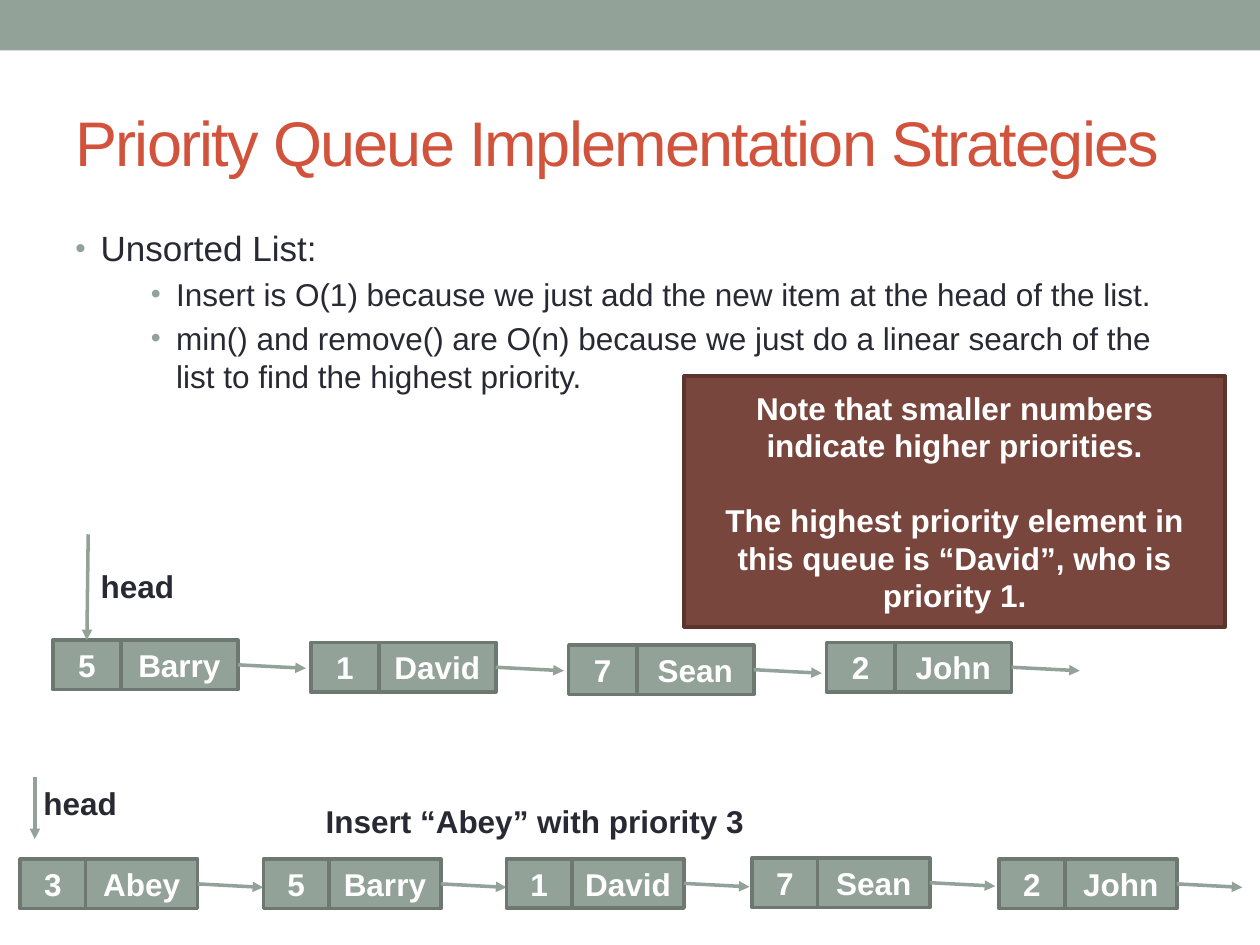
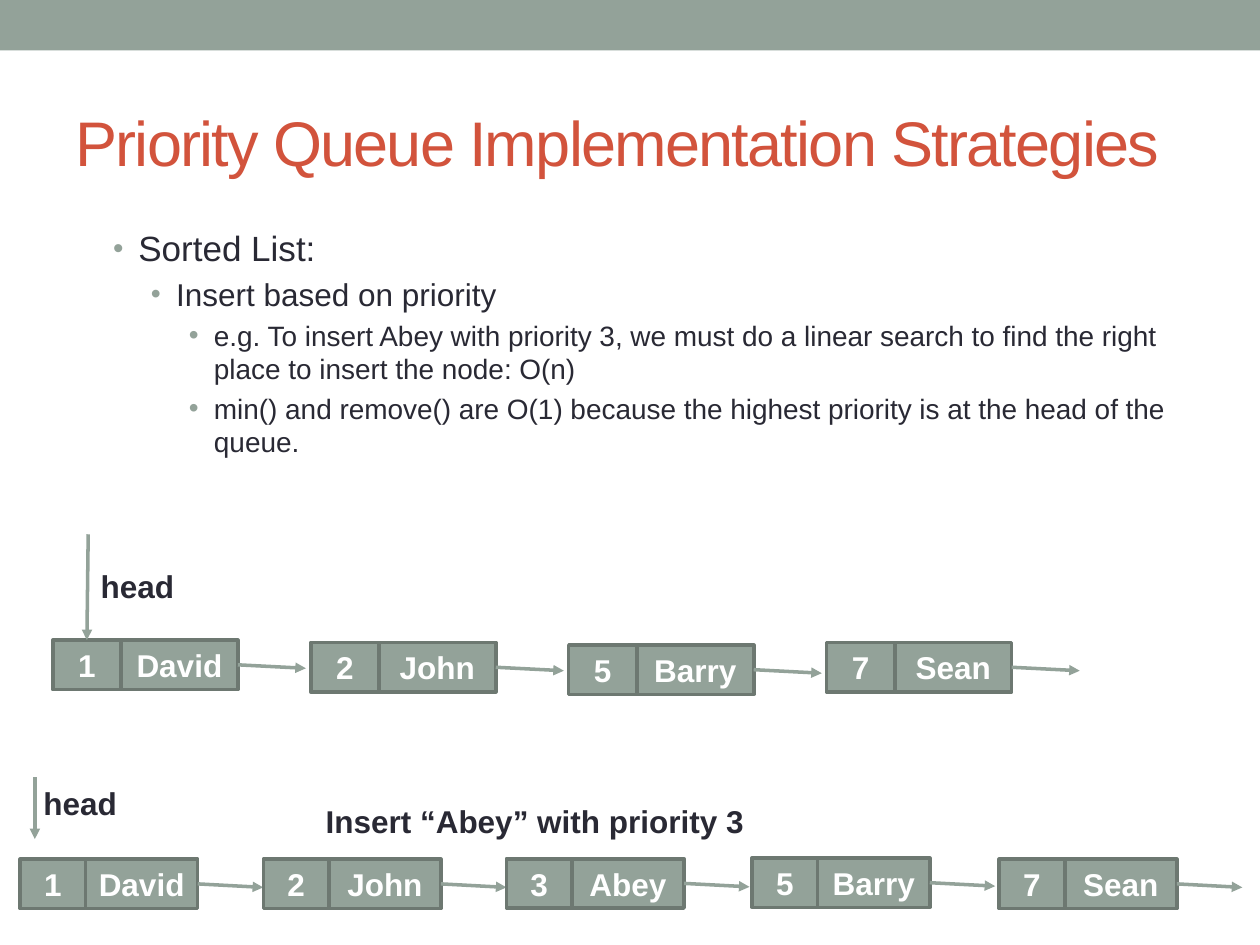
import pptx
import pptx.dml.color
import pptx.enum.shapes
import pptx.enum.text
import pptx.oxml.ns
import pptx.util
from lxml import etree

Pt = pptx.util.Pt
ALIGN = pptx.enum.text.PP_ALIGN
ANCHOR = pptx.enum.text.MSO_ANCHOR

SAGE, SAGE_EDGE = "93A299", "6D7871"
RUST, RUST_EDGE = "79463D", "5A342D"
TITLE_RED, INK, WHITE = "D2533C", "292934", "FFFFFF"

LABEL = {"size": Pt(18), "bold": True}
LEVEL_SIZES = [20, 20, 18, 16]
BULLET_PERCENTS = [85, 85, 90, 100]

NODE_H = 28.2
ARROW_DROP = 2
TOP_LIST = {
    "spots": [(30.2 + 147.4 * i, y) for i, y in enumerate([365.8, 367.2, 368.6, 367.2])],
    "key_w": 38.9, "name_w": 66.8,
}
BOTTOM_LIST = {
    "spots": [(11.5, 491), (150.5, 491), (289.4, 490.7), (429.8, 490.3), (571, 491)],
    "key_w": 37.4, "name_w": 64.1,
}


def rgb(value):
    return pptx.dml.color.RGBColor.from_string(value)


def sub(parent, tag, **attrs):
    """Append a DrawingML child element."""
    return etree.SubElement(parent, pptx.oxml.ns.qn(tag), **attrs)


def set_all(target, formats):
    for name, value in formats.items():
        setattr(target, name, value)


class Deck:
    """Holds the shared style and the slide being drawn."""

    def __init__(self):
        self.prs = pptx.Presentation()
        set_all(self.prs, {"slide_width": Pt(720), "slide_height": Pt(540)})
        self.s = None

    def slide(self, title):
        self.s = self.prs.slides.add_slide(self.prs.slide_layouts[6])
        self.box(0, 0, 720, 28.8, SAGE)
        tf = self.text(title, 36, 41.8, 648, 77.8, TITLE_RED, {"size": Pt(36)},
                       ALIGN.LEFT, vertical_anchor=ANCHOR.MIDDLE)
        tf.paragraphs[0].runs[0]._r.get_or_add_rPr().set("spc", "-100")

    def run(self, p, text, color, font):
        r = p.add_run()
        r.text = text
        set_all(r.font, {"name": "Arial", **font})
        r.font.color.rgb = rgb(color)

    def text(self, text, x, y, w, h, color=INK, font=LABEL, align=ALIGN.CENTER, **frame):
        sp = self.s.shapes.add_textbox(Pt(x), Pt(y), Pt(w), Pt(h))
        tf = sp.text_frame
        set_all(tf, {"word_wrap": True, **frame})
        p = tf.paragraphs[0]
        p.alignment = align
        self.run(p, text, color, font)
        return tf

    def bullets(self, items, h):
        """Draw (level, text) pairs as an indented list."""
        sp = self.s.shapes.add_textbox(Pt(36), Pt(126), Pt(648), Pt(h))
        tf = sp.text_frame
        tf.word_wrap = True
        for i, (level, text) in enumerate(items):
            p = tf.add_paragraph() if i else tf.paragraphs[0]
            size = LEVEL_SIZES[level]
            set_all(p, {"level": level, "space_before": Pt(size * 0.2)})
            pPr = p._p.get_or_add_pPr()
            pPr.set("marL", str(Pt(14.4 + 21.6 * level)))
            pPr.set("indent", str(-Pt(14.4)))
            sub(sub(pPr, "a:buClr"), "a:srgbClr", val=SAGE)
            sub(pPr, "a:buSzPct", val=str(BULLET_PERCENTS[level] * 1000))
            sub(pPr, "a:buFont", typeface="Arial")
            sub(pPr, "a:buChar", char="•")
            self.run(p, text, INK, {"size": Pt(size)})

    def box(self, x, y, w, h, fill, edge=None, texts=(), shapes=None, **frame):
        shapes = self.s.shapes if shapes is None else shapes
        sp = shapes.add_shape(pptx.enum.shapes.MSO_SHAPE.RECTANGLE, Pt(x), Pt(y), Pt(w), Pt(h))
        sp.shadow.inherit = False
        sp.fill.solid()
        sp.fill.fore_color.rgb = rgb(fill)
        if edge:
            sp.line.color.rgb = rgb(edge)
            sp.line.width = Pt(2.08)
        else:
            sp.line.fill.background()
        tf = sp.text_frame
        set_all(tf, {"word_wrap": True, "vertical_anchor": ANCHOR.MIDDLE, **frame})
        for i, text in enumerate(texts):
            p = tf.add_paragraph() if i else tf.paragraphs[0]
            set_all(p, {"alignment": ALIGN.CENTER, "space_before": Pt(21 if i else 0)})
            self.run(p, text, WHITE, LABEL)
        return sp

    def arrow(self, x1, y1, x2, y2, shapes=None):
        shapes = self.s.shapes if shapes is None else shapes
        cx = shapes.add_connector(pptx.enum.shapes.MSO_CONNECTOR.STRAIGHT,
                                  Pt(x1), Pt(y1), Pt(x2), Pt(y2))
        cx.line.color.rgb = rgb(SAGE)
        cx.line.width = Pt(2)
        spPr = cx._element.spPr
        sub(spPr.get_or_add_ln(), "a:tailEnd", type="triangle")
        sub(spPr, "a:effectLst")
        return cx

    def node(self, x, y, key_w, name_w, key, name):
        """Draw a grouped key and name with its next arrow; return the key box."""
        shapes = self.s.shapes.add_group_shape().shapes
        style = {"fill": SAGE, "edge": SAGE_EDGE, "shapes": shapes,
                 "margin_left": 0, "margin_right": 0}
        key_box = self.box(x, y, key_w, NODE_H, texts=[key], **style)
        name_box = self.box(x + key_w, y, name_w, NODE_H, texts=[name], **style)
        right, middle = x + key_w + name_w, y + NODE_H / 2
        cx = self.arrow(right, middle, right + key_w, middle + ARROW_DROP, shapes)
        cx.begin_connect(name_box, 3)
        return key_box

    def linked_list(self, people, spots, key_w, name_w):
        """Draw one node per person and return the first key box."""
        keys = [self.node(x, y, key_w, name_w, *person)
                for (x, y), person in zip(spots, people)]
        return keys[0]

    def before_and_after(self, before, after):
        """Draw the queue before and after the insertion of Abey."""
        first = self.linked_list(before, **TOP_LIST)
        self.arrow(50.4, 305.3, 49.7, 365.8).end_connect(first, 0)
        self.text("head", 36, 320.4, 85, 29)
        self.linked_list(after, **BOTTOM_LIST)
        self.arrow(19.9, 444.2, 19.9, 479.5)
        self.text("head", 5.8, 444.2, 79.9, 29)
        self.text("Insert “Abey” with priority 3", 177.8, 455, 255.6, 29, word_wrap=False)


def main():
    title = "Priority Queue Implementation Strategies"
    abey, barry, david = ("3", "Abey"), ("5", "Barry"), ("1", "David")
    sean, john = ("7", "Sean"), ("2", "John")
    deck = Deck()

    deck.slide(title)
    deck.bullets([
        (0, "Unsorted List:"),
        (2, "Insert is O(1) because we just add the new item at the head of the list."),
        (2, "min() and remove() are O(n) because we just do a linear search of the list "
            "to find the highest priority."),
    ], 383.8)
    unsorted = [barry, david, sean, john]
    deck.before_and_after(unsorted, [abey] + unsorted)
    deck.box(391, 214.8, 309, 143.4, RUST, RUST_EDGE, [
        "Note that smaller numbers indicate higher priorities.",
        "The highest priority element in this queue is “David”, who is priority 1.",
    ])

    deck.slide(title)
    deck.bullets([
        (1, "Sorted List:"),
        (2, "Insert based on priority"),
        (3, "e.g. To insert Abey with priority 3, we must do a linear search to find "
            "the right place to insert the node: O(n)"),
        (3, "min() and remove() are O(1) because the highest priority is at the head "
            "of the queue."),
    ], 157.7)
    deck.before_and_after(sorted(unsorted), sorted(unsorted + [abey]))

    deck.prs.save("out.pptx")


if __name__ == "__main__":
    main()
